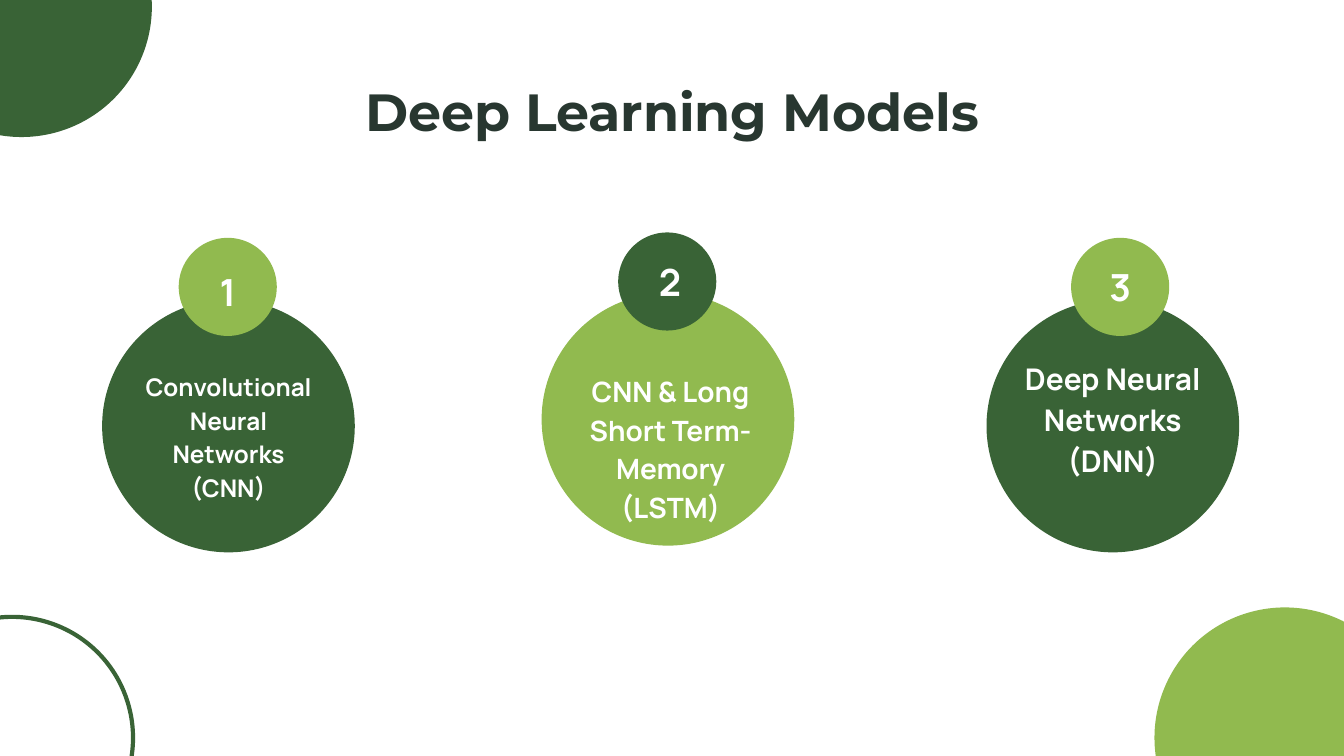
from pptx import Presentation
from pptx.dml.color import RGBColor
from pptx.enum.shapes import MSO_SHAPE
from pptx.enum.text import MSO_ANCHOR, PP_ALIGN
from pptx.util import Inches, Pt

COLORS = {
    "forest": "396336",
    "lime": "91BA4F",
    "ink": "283730",
    "white": "FFFFFF",
}
DISC_SIZE = 1.88
BADGE_SIZE = 0.73
NUMBER_SIZE = (0.53, 0.47)
LABEL_WIDTH = 1.54
LABEL_SPACING = 1.15
TOP, MIDDLE = MSO_ANCHOR.TOP, MSO_ANCHOR.MIDDLE

MODELS = [
    {"number": "1", "label": "Convolutional Neural Networks (CNN)",
     "disc": (0.76, 2.23), "badge": (1.33, 1.77), "colors": ("forest", "lime"),
     "number_at": (1.43, 1.9), "number_anchor": TOP,
     "label_at": (0.93, 2.64), "label_height": 1.05, "label_anchor": TOP, "size": 13},
    {"number": "2", "label": "CNN & Long Short Term- Memory (LSTM)",
     "disc": (4.03, 2.18), "badge": (4.6, 1.73), "colors": ("lime", "forest"),
     "number_at": (4.72, 1.86), "number_anchor": MIDDLE,
     "label_at": (4.22, 2.9), "label_height": 0.85, "label_anchor": MIDDLE, "size": 15},
    {"number": "3", "label": "Deep Neural Networks (DNN)",
     "disc": (7.34, 2.23), "badge": (7.97, 1.77), "colors": ("forest", "lime"),
     "number_at": (8.07, 1.9), "number_anchor": MIDDLE,
     "label_at": (7.51, 2.54), "label_height": 1.25, "label_anchor": TOP, "size": 16},
]


def color(name):
    """Return the named colour."""
    return RGBColor.from_string(COLORS[name])


def add_circle(page, left, top, size, fill=None, line=None):
    """Add a circle that is either filled or outlined."""
    circle = page.shapes.add_shape(
        MSO_SHAPE.OVAL, Inches(left), Inches(top), Inches(size), Inches(size))
    circle.shadow.inherit = False
    if fill:
        circle.fill.solid()
        circle.fill.fore_color.rgb = color(fill)
    else:
        circle.fill.background()
    if line:
        circle.line.color.rgb = color(line)
        circle.line.width = Pt(2.25)
    else:
        circle.line.fill.background()


def add_text(page, text, at, extent, size, font="Manrope", ink="white",
             anchor=TOP, spacing=1.0):
    """Add a centred bold text box with even insets."""
    box = page.shapes.add_textbox(*map(Inches, at + extent))
    frame = box.text_frame
    frame.word_wrap = True
    frame.vertical_anchor = anchor
    frame.margin_left = frame.margin_right = Inches(0.1)
    frame.margin_top = frame.margin_bottom = Inches(0.1)
    para = frame.paragraphs[0]
    para.text = text
    para.alignment = PP_ALIGN.CENTER
    para.line_spacing = spacing
    para.font.name = font
    para.font.size = Pt(size)
    para.font.bold = True
    para.font.color.rgb = color(ink)


def add_model(page, model):
    """Add a labelled disc with its numbered badge."""
    disc_color, badge_color = model["colors"]
    add_circle(page, *model["disc"], DISC_SIZE, disc_color)
    add_circle(page, *model["badge"], BADGE_SIZE, badge_color)
    add_text(page, model["number"], model["number_at"], NUMBER_SIZE, 20,
             anchor=model["number_anchor"])
    add_text(page, model["label"], model["label_at"],
             (LABEL_WIDTH, model["label_height"]), model["size"],
             anchor=model["label_anchor"], spacing=LABEL_SPACING)


def main():
    """Build the slide and save the deck."""
    deck = Presentation()
    deck.slide_width = Inches(10)
    deck.slide_height = deck.slide_width * 9 // 16
    page = deck.slides.add_slide(deck.slide_layouts[6])
    page.background.fill.solid()
    page.background.fill.fore_color.rgb = color("white")

    add_circle(page, 8.59, 4.52, 1.94, fill="lime")
    add_circle(page, -0.81, 4.59, 1.8, line="forest")
    add_circle(page, -0.81, -0.92, 1.94, fill="forest")
    add_text(page, "Deep Learning Models", (0.34, 0.49), (9.32, 0.63), 28,
             font="Montserrat", ink="ink")
    for model in MODELS:
        add_model(page, model)
    deck.save("out.pptx")


if __name__ == "__main__":
    main()
